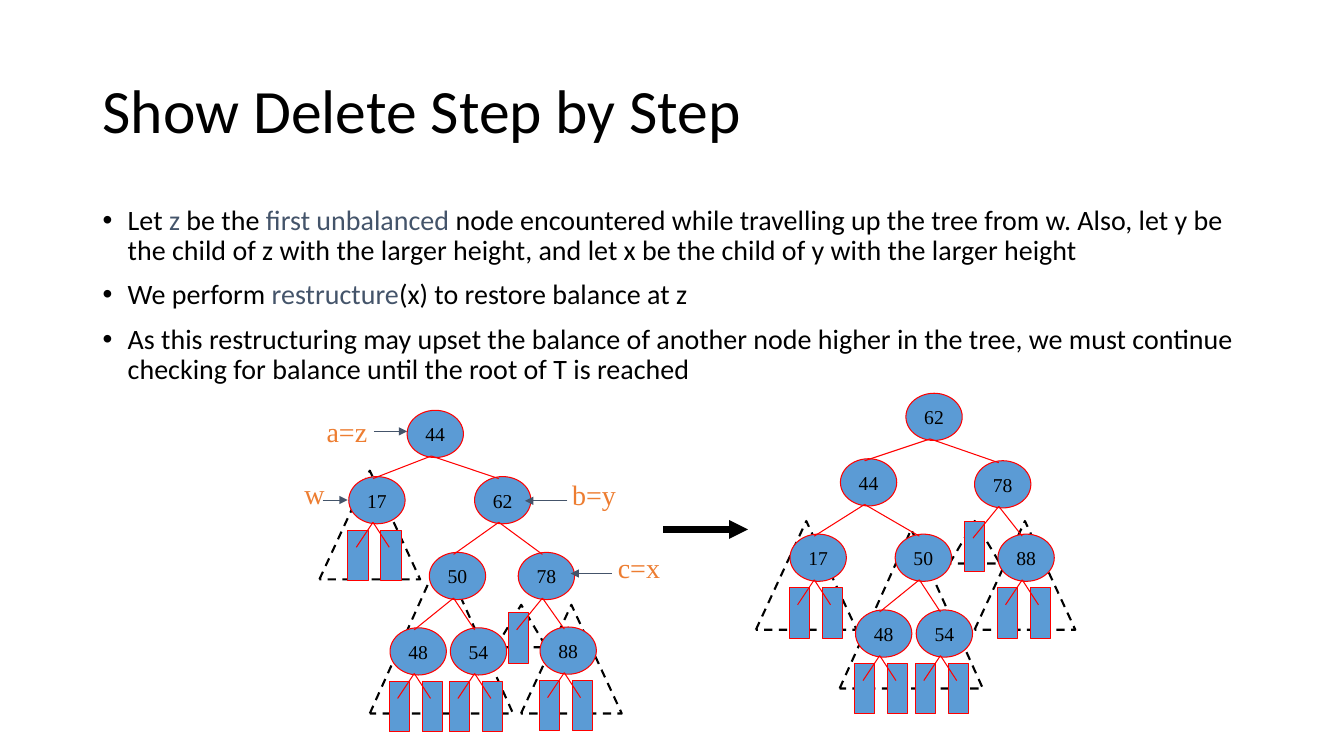
from lxml import etree
from pptx import Presentation
from pptx.dml.color import RGBColor
from pptx.enum.dml import MSO_LINE
from pptx.enum.shapes import MSO_CONNECTOR, MSO_SHAPE
from pptx.enum.text import MSO_ANCHOR, MSO_AUTO_SIZE, PP_ALIGN
from pptx.oxml.ns import qn
from pptx.util import Cm, Pt

OVAL, RECT, TRIANGLE = MSO_SHAPE.OVAL, MSO_SHAPE.RECTANGLE, MSO_SHAPE.ISOSCELES_TRIANGLE
STRAIGHT, DASH = MSO_CONNECTOR.STRAIGHT, MSO_LINE.DASH
MIDDLE, TOP, CENTER, LEFT = MSO_ANCHOR.MIDDLE, MSO_ANCHOR.TOP, PP_ALIGN.CENTER, PP_ALIGN.LEFT
NO_FIT = MSO_AUTO_SIZE.NONE

BLACK, RED, BLUE, SLATE, ORANGE = "000000", "FF0000", "5B9BD5", "44546A", "ED7D31"
SANS, SERIF = "Calibri", "Times New Roman"

HEADING = "Show Delete Step by Step"
POINTS = [
    [("Let ", BLACK), ("z", SLATE), (" be the ", BLACK), ("first unbalanced", SLATE),
     (" node encountered while travelling up the tree from w. Also, let y be the child of z "
      "with the larger height, and let x be the child of y with the larger height", BLACK)],
    [("We perform ", BLACK), ("restructure", SLATE), ("(x) to restore balance at z", BLACK)],
    [("As this restructuring may upset the balance of another node higher in the tree, "
      "we must continue checking for balance until the root of T is reached", BLACK)],
]

# key: (left, top, parent)
TREE_BEFORE = {
    44: (10.26, 10.34, None), 17: (8.79, 12.01, 44), 62: (11.96, 12.01, 44),
    50: (10.82, 13.92, 62), 78: (13.06, 13.92, 62), 48: (9.83, 15.82, 50),
    54: (11.35, 15.82, 50), 88: (13.61, 15.8, 78),
}
TREE_AFTER = {
    62: (22.83, 9.91, None), 44: (21.18, 11.56, 62), 78: (24.56, 11.61, 62),
    17: (19.91, 13.46, 44), 50: (22.56, 13.46, 44), 88: (25.15, 13.46, 78),
    48: (21.56, 15.37, 50), 54: (23.09, 15.37, 50),
}
LEAF_PAIR = [(-0.02, 1.35), (0.81, 1.35)]
LEAVES = {key: LEAF_PAIR for key in (17, 48, 54, 88)}
LEAVES[78] = [(-0.25, 1.52)]

NODE_SIZE, LEAF_SIZE = (1.42, 1.19), (0.51, 1.27)
NODE_AXIS, EDGE_START, EDGE_END = 0.61, 1.15, 0.05
LEAF_EDGE = (0.21, 0.43)

SMALL, MEDIUM, LARGE = (1.27, 1.07), (2.54, 2.74), (3.61, 4.01)
SUBTREES = [
    (24.56, 13.13, MEDIUM), (23.93, 13.13, SMALL), (21.16, 13.34, LARGE), (19.05, 13.13, MEDIUM),
    (13.13, 15.24, MEDIUM), (12.5, 15.24, SMALL), (9.32, 13.97, LARGE), (8.05, 11.86, MEDIUM),
]
# text, left, top, width, arrow start x, arrow end x, arrow y
LABELS = [
    ("w", 7.42, 11.89, 1.02, 8.13, 8.76, 12.6),
    ("c=x", 15.32, 13.74, 1.57, 15.42, 14.38, 14.45),
    ("b=y", 14.17, 11.91, 1.63, 14.3, 13.23, 12.62),
    ("a=z", 7.98, 10.31, 1.55, 9.42, 10.26, 10.87),
]
STEP_ARROW = ((16.71, 13.34), (18.85, 13.34))


def rgb(value):
    return RGBColor.from_string(value)


def add_run(paragraph, text, size, font, color):
    run = paragraph.add_run()
    run.text = text
    run.font.size, run.font.name = Pt(size), font
    run.font.color.rgb = rgb(color)


def place(holder, left, top, width, height, anchor):
    holder.left, holder.top, holder.width, holder.height = map(Cm, (left, top, width, height))
    holder.text_frame.auto_size = NO_FIT
    holder.text_frame.vertical_anchor = anchor
    holder.text_frame.word_wrap = True


def add_figure(kind, left, top, size, color=RED, weight=0.75, fill=BLUE):
    figure = slide.shapes.add_shape(kind, Cm(left), Cm(top), Cm(size[0]), Cm(size[1]))
    figure.shadow.inherit = False
    if fill:
        figure.fill.solid()
        figure.fill.fore_color.rgb = rgb(fill)
    else:
        figure.fill.background()
    figure.line.color.rgb = rgb(color)
    figure.line.width = Pt(weight)
    return figure


def add_line(start, end, color=RED, weight=0.75, arrow=False):
    line = slide.shapes.add_connector(STRAIGHT, *map(Cm, start + end))
    line.line.color.rgb = rgb(color)
    line.line.width = Pt(weight)
    if arrow:
        etree.SubElement(line.line._get_or_add_ln(), qn("a:tailEnd"), type="triangle")
    etree.SubElement(line._element.spPr, qn("a:effectLst"))


def add_tree(tree):
    for key, (left, top, _) in tree.items():
        node = add_figure(OVAL, left, top, NODE_SIZE)
        frame = node.text_frame
        frame.word_wrap = False
        frame.vertical_anchor = MIDDLE
        frame.paragraphs[0].alignment = CENTER
        add_run(frame.paragraphs[0], str(key), 14, SERIF, BLACK)
        for dx, dy in LEAVES.get(key, []):
            add_figure(RECT, left + dx, top + dy, LEAF_SIZE)
    for key, (left, top, parent) in tree.items():
        if parent:
            parent_left, parent_top, _ = tree[parent]
            add_line((parent_left + NODE_AXIS, parent_top + EDGE_START),
                     (left + NODE_AXIS, top + EDGE_END))
        for dx, dy in LEAVES.get(key, []):
            add_line((left + NODE_AXIS, top + EDGE_START),
                     (left + dx + LEAF_EDGE[0], top + dy + LEAF_EDGE[1]))


deck = Presentation()
deck.slide_width, deck.slide_height = Cm(33.87), Cm(19.05)
slide = deck.slides.add_slide(deck.slide_layouts[1])

heading, points = slide.placeholders
place(heading, 2.33, 1.01, 29.21, 3.68, MIDDLE)
title_line = heading.text_frame.paragraphs[0]
title_line.alignment, title_line.line_spacing = LEFT, 0.9
add_run(title_line, HEADING, 44, SANS, BLACK)

place(points, 2.33, 5.07, 29.21, 12.09, TOP)
for index, pieces in enumerate(POINTS):
    frame = points.text_frame
    point = frame.add_paragraph() if index else frame.paragraphs[0]
    point.line_spacing, point.space_before = 0.9, Pt(10)
    properties = point._p.get_or_add_pPr()
    properties.set("marL", str(Cm(0.635)))
    properties.set("indent", str(-Cm(0.635)))
    for text, color in pieces:
        add_run(point, text, 20, SANS, color)

for left, top, size in SUBTREES:
    subtree = add_figure(TRIANGLE, left, top, size, BLACK, 1.5, None)
    subtree.line.dash_style = DASH

add_tree(TREE_BEFORE)
for text, left, top, width, start_x, end_x, arrow_y in LABELS:
    label = slide.shapes.add_textbox(Cm(left), Cm(top), Cm(width), Cm(1.11))
    label.text_frame.word_wrap = False
    add_run(label.text_frame.paragraphs[0], text, 20, SERIF, ORANGE)
    add_line((start_x, arrow_y), (end_x, arrow_y), SLATE, arrow=True)

add_tree(TREE_AFTER)
add_line(*STEP_ARROW, BLACK, 4.5, arrow=True)

deck.save("out.pptx")
